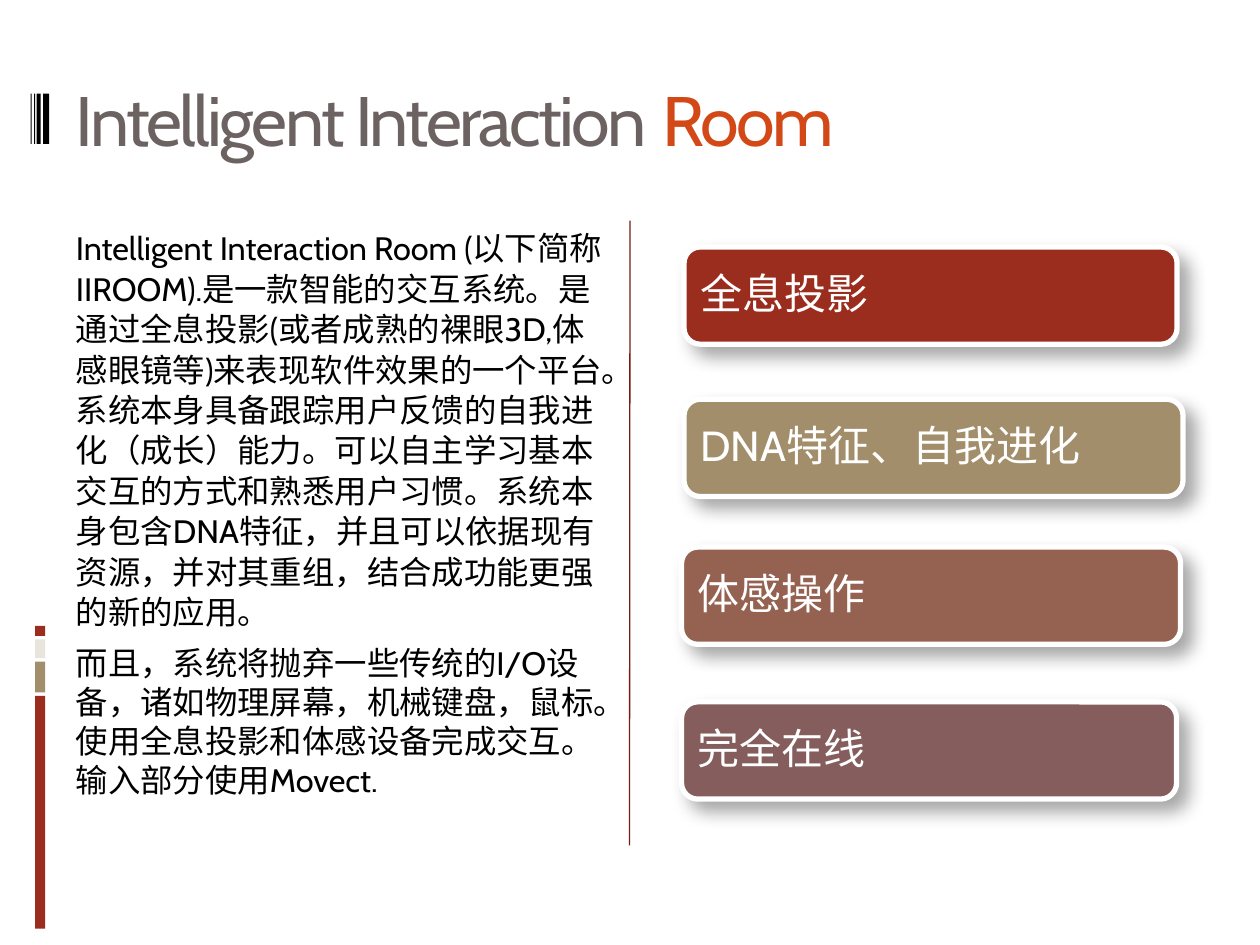
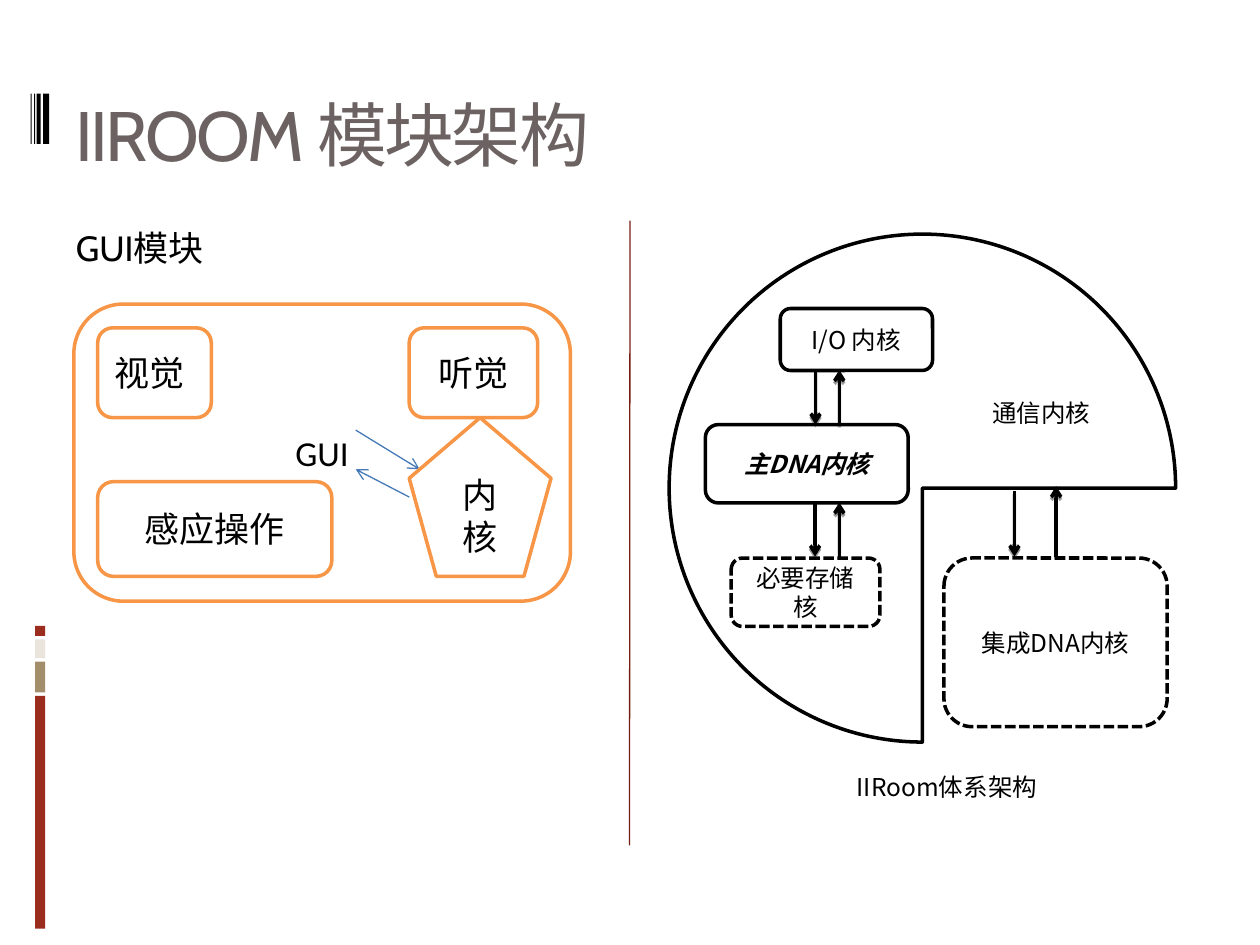
import pptx
import pptx.util
import pptx.dml.color
import pptx.enum.dml
import pptx.enum.shapes
import pptx.enum.text
import pptx.oxml
import pptx.oxml.ns
from pptx.util import Cm, Pt

SHAPE = pptx.enum.shapes.MSO_SHAPE
ALIGN = pptx.enum.text.PP_ALIGN
ANCHOR = pptx.enum.text.MSO_ANCHOR
DASH = pptx.enum.dml.MSO_LINE.SQUARE_DOT

RED, TAN, CREAM, DIVIDER = "9B2D1F", "A28E6A", "E9E5DC", "751D12"
GREY, ACCENT, ORANGE, BLUE = "6C6262", "D34817", "F79646", "4579B8"
BLACK, WHITE = "000000", "FFFFFF"
CABIN, CALIBRI, NOTO = "Cabin", "Calibri", "Noto Sans CJK SC"

TITLE_FORMAT = {"name": CABIN, "size": Pt(40), "color": GREY}
BODY_FORMAT = {"name": CABIN, "size": Pt(18.5), "color": BLACK}
CARD_FORMAT = {"name": CABIN, "size": Pt(24), "color": WHITE}
MODULE_FORMAT = {"name": CALIBRI, "size": Pt(20), "color": BLACK}
KERNEL_FORMAT = {"name": NOTO, "size": Pt(14), "color": BLACK}

# Shadow values: opacity %, blur pt, distance pt, angle in degrees
CARD_SHADOW = (35, 10.2, 8, 45)
ARROW_SHADOW = (38, 0, 1.6, 90)

# Regions in cm: left, top, width, height
BODY_BOX = (1.28, 4.45, 11.2, 12.57)
CARDS_BOX = (13.74, 4.98, 10.06, 11.13)
MODULES_BOX = (1.49, 6.13, 10.01, 5.99)
SYSTEM_BOX = (13.49, 4.72, 10.21, 10.24)


# ---- Helpers ----
def rgb(color):
    return pptx.dml.color.RGBColor.from_string(color)


def within(box, left, top, width, height):
    """Turn a place relative to a region into a place on the page."""
    return box[0] + left, box[1] + top, width, height


def new_element(tag, **attributes):
    element = pptx.oxml.parse_xml(f"<{tag} {pptx.oxml.ns.nsdecls('a')}/>")
    for key, value in attributes.items():
        element.set(key, str(value))
    return element


def add_span(para, text, style):
    span = para.add_run()
    span.text = text
    for key, value in style.items():
        if key == "color":
            span.font.color.rgb = rgb(value)
        else:
            setattr(span.font, key, value)
    # Cabin and Calibri also set the line height of Chinese text
    east_asian = CALIBRI if style["name"] == NOTO else style["name"]
    span.font._element.append(new_element("a:ea", typeface=east_asian))
    return span


def set_frame(frame, **values):
    settings = {"word_wrap": True, "auto_size": pptx.enum.text.MSO_AUTO_SIZE.NONE}
    settings.update(values)
    for key, value in settings.items():
        setattr(frame, key, value)


def write(shape, text, style, align=ALIGN.CENTER, **frame_values):
    frame = shape.text_frame
    set_frame(frame, vertical_anchor=ANCHOR.MIDDLE, **frame_values)
    para = frame.paragraphs[0]
    para.alignment = align
    add_span(para, text, style)
    return para


def add_text_box(page, place):
    return page.shapes.add_textbox(*map(Cm, place))


def add_shadow(properties, shadow):
    opacity, blur, distance, angle = shadow
    outer = new_element("a:outerShdw", blurRad=int(Pt(blur)), dist=int(Pt(distance)),
                        dir=angle * 60000, algn="ctr", rotWithShape=0)
    color = new_element("a:srgbClr", val=BLACK)
    color.append(new_element("a:alpha", val=opacity * 1000))
    outer.append(color)
    properties.find(pptx.oxml.ns.qn("a:effectLst")).append(outer)


def add_block(page, kind, place, fill, line=None, weight=2, dash=None, opacity=100):
    shape = page.shapes.add_shape(kind, *map(Cm, place))
    shape.shadow.inherit = False
    if fill is None:
        shape.fill.background()
    else:
        shape.fill.solid()
        shape.fill.fore_color.rgb = rgb(fill)
    if opacity < 100:
        color = shape._element.spPr.find(".//" + pptx.oxml.ns.qn("a:srgbClr"))
        color.append(new_element("a:alpha", val=opacity * 1000))
    if line is None:
        shape.line.fill.background()
    else:
        shape.line.color.rgb = rgb(line)
        shape.line.width = Pt(weight)
        if dash is not None:
            shape.line.dash_style = dash
    return shape


def add_line(page, start, end, color, weight, arrow=False, shadow=None):
    line = page.shapes.add_connector(
        pptx.enum.shapes.MSO_CONNECTOR.STRAIGHT, *map(Cm, (*start, *end)))
    line.line.color.rgb = rgb(color)
    line.line.width = Pt(weight)
    if arrow:
        line.line._get_or_add_ln().append(new_element("a:tailEnd", type="arrow"))
    properties = line._element.spPr
    properties.append(new_element("a:effectLst"))
    if shadow:
        add_shadow(properties, shadow)


def add_arrows(page, box, ends, color, weight, shadow=None):
    for x1, y1, x2, y2 in ends:
        add_line(page, (box[0] + x1, box[1] + y1), (box[0] + x2, box[1] + y2),
                 color, weight, True, shadow)


# ---- Parts shared by both pages ----
def add_decoration(page):
    top = 12.62
    for height, color in ((0.2, RED), (0.38, CREAM), (0.62, TAN), (4.69, RED)):
        add_block(page, SHAPE.RECTANGLE, (0.71, top, 0.2, height), color)
        top += height + 0.07
    for left, width in ((0.62, 0.02), (0.69, 0.02), (0.74, 0.08), (0.87, 0.12)):
        add_block(page, SHAPE.RECTANGLE, (left, 1.89, width, 1.01), BLACK)
    add_line(page, (12.7, 4.45), (12.69, 17.04), DIVIDER, 0.75)


def add_page(deck, title_place, title_spans):
    """Each title span is a text with its colour and letter spacing."""
    page = deck.slides.add_slide(deck.slide_layouts[5])
    add_decoration(page)
    title = page.shapes.title
    for key, value in zip(("left", "top", "width", "height"), title_place):
        setattr(title, key, Cm(value))
    set_frame(title.text_frame, vertical_anchor=ANCHOR.MIDDLE)
    para = title.text_frame.paragraphs[0]
    para.alignment = ALIGN.LEFT
    for text, color, spacing in title_spans:
        span = add_span(para, text, {**TITLE_FORMAT, "color": color})
        span.font._element.set("spc", str(int(spacing * 100)))
    return page


def add_body(page, box, paragraphs, style):
    """Each paragraph is a text with its line spacing."""
    frame = add_text_box(page, box).text_frame
    set_frame(frame)
    for index, (text, spacing) in enumerate(paragraphs):
        para = frame.add_paragraph() if index else frame.paragraphs[0]
        para.line_spacing = spacing
        if index:
            para.space_before = Pt(7)
        add_span(para, text, style)


# ---- Page 1: feature cards ----
def add_cards(page, box):
    cards = (
        ("全息投影", RED, 0.05, 0, 9.94),
        ("DNA特征、自我进化", TAN, 0.05, 3.07, 10.06),
        ("体感操作", "956251", 0, 6.05, 10.06),
        ("完全在线", "855D5D", 0, 9.17, 9.98),
    )
    for text, color, left, top, width in cards:
        # Pale band behind the lower part of the card
        add_block(page, SHAPE.RECTANGLE, within(box, -0.61, top + 1.04, 12.27, 1.68),
                  WHITE, opacity=90)
        card = add_block(page, SHAPE.ROUNDED_RECTANGLE,
                         within(box, left, top, width, 1.96), color, WHITE, 3)
        add_shadow(card._element.spPr, CARD_SHADOW)
        para = write(card, text, CARD_FORMAT, ALIGN.LEFT, margin_left=Cm(0.23),
                     margin_right=Cm(0.23), margin_top=0, margin_bottom=0)
        para.line_spacing = 0.9


# ---- Page 2: GUI modules ----
def add_modules(page, box):
    rounded = SHAPE.ROUNDED_RECTANGLE
    frame = add_block(page, rounded, box, WHITE, ORANGE)
    write(frame, "GUI", MODULE_FORMAT)
    add_arrows(page, box, ((5.68, 2.54, 6.97, 3.33), (6.76, 3.89, 5.68, 3.33)), BLUE, 0.75)
    modules = (
        ("视觉", rounded, ALIGN.JUSTIFY, (0.48, 0.48, 2.29, 1.81)),
        ("听觉", rounded, ALIGN.CENTER, (6.76, 0.48, 2.59, 1.81)),
        ("感应操作", rounded, ALIGN.CENTER, (0.48, 3.58, 4.72, 1.91)),
        ("内核", SHAPE.REGULAR_PENTAGON, ALIGN.CENTER, (6.76, 2.29, 2.86, 3.2)),
    )
    for text, kind, align, place in modules:
        module = add_block(page, kind, within(box, *place), WHITE, ORANGE)
        write(module, text, MODULE_FORMAT, align)


# ---- Page 2: system architecture ----
def add_system(page, box):
    # Three quarters of a disc, clockwise from the bottom to the right
    disc = add_block(page, SHAPE.PIE, box, WHITE, BLACK)
    for index, degrees in enumerate((90, 0)):
        disc.adjustments[index] = degrees * 0.6

    rounded = SHAPE.ROUNDED_RECTANGLE
    strong = {"bold": True, "italic": True}
    kernels = (
        ("I/O 内核", rounded, (2.24, 1.5, 3.07, 1.25), WHITE, BLACK, None, {}),
        ("主DNA内核", rounded, (0.73, 3.84, 4.09, 1.58), WHITE, BLACK, None, strong),
        ("必要存储核", rounded, (1.25, 6.53, 3, 1.38), WHITE, BLACK, DASH, {}),
        ("通信内核", SHAPE.RECTANGLE, (5.94, 2.74, 3.12, 1.7), None, WHITE, None, {}),
        ("集成DNA内核", rounded, (5.54, 6.53, 4.5, 3.4), WHITE, BLACK, DASH, {}),
    )
    for text, kind, place, fill, line, dash, emphasis in kernels:
        kernel = add_block(page, kind, within(box, *place), fill, line, 2, dash)
        write(kernel, text, {**KERNEL_FORMAT, **emphasis})

    # Pairs of arrows: x and top of the one down, x and top of the one up, bottom
    pairs = ((2.95, 2.74, 3.43, 2.74, 3.84),
             (2.94, 5.41, 3.43, 5.41, 6.5),
             (6.96, 5.18, 7.8, 5.08, 6.5))
    for down, down_top, up, up_top, bottom in pairs:
        ends = ((down, down_top, down, bottom), (up, bottom, up, up_top))
        add_arrows(page, box, ends, BLACK, 2, ARROW_SHADOW)

    caption = add_text_box(page, within(box, 1.94, 10.48, 7.32, 1.32))
    write(caption, "IIRoom体系架构", KERNEL_FORMAT)


def main():
    deck = pptx.Presentation()
    deck.slide_width, deck.slide_height = Cm(25.4), Cm(19.05)

    page = add_page(deck, (1.27, 0.58, 22.86, 3.61),
                    (("Intelligent Interaction", GREY, -1.5), (" ", GREY, 0),
                     ("Room", ACCENT, -1.5)))
    add_body(page, BODY_BOX, (
        ("Intelligent Interaction Room (以下简称IIROOM).是一款智能的交互系统。"
         "是通过全息投影(或者成熟的裸眼3D,体感眼镜等)来表现软件效果的一个平台。"
         "系统本身具备跟踪用户反馈的自我进化（成长）能力。"
         "可以自主学习基本交互的方式和熟悉用户习惯。"
         "系统本身包含DNA特征，并且可以依据现有资源，并对其重组，"
         "结合成功能更强的新的应用。", 1.04),
        ("而且，系统将抛弃一些传统的I/O设备，诸如物理屏幕，机械键盘，鼠标。"
         "使用全息投影和体感设备完成交互。输入部分使用Movect.", 1.0),
    ), BODY_FORMAT)
    add_cards(page, CARDS_BOX)

    page = add_page(deck, (1.27, 1.42, 22.86, 2.54), (("IIROOM 模块架构", GREY, -1.5),))
    add_body(page, BODY_BOX, (("GUI模块", 1.0),), {**BODY_FORMAT, "size": Pt(20)})
    add_modules(page, MODULES_BOX)
    add_system(page, SYSTEM_BOX)

    deck.save("out.pptx")


if __name__ == "__main__":
    main()
